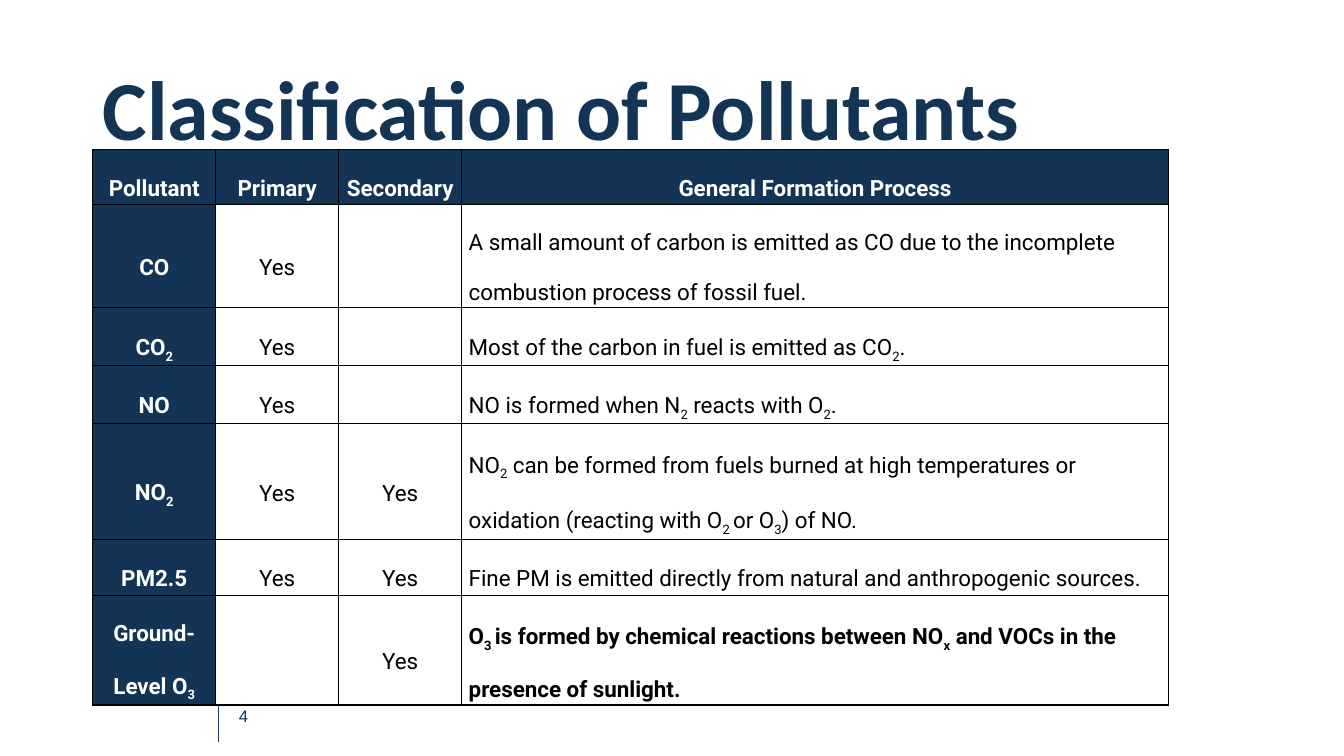
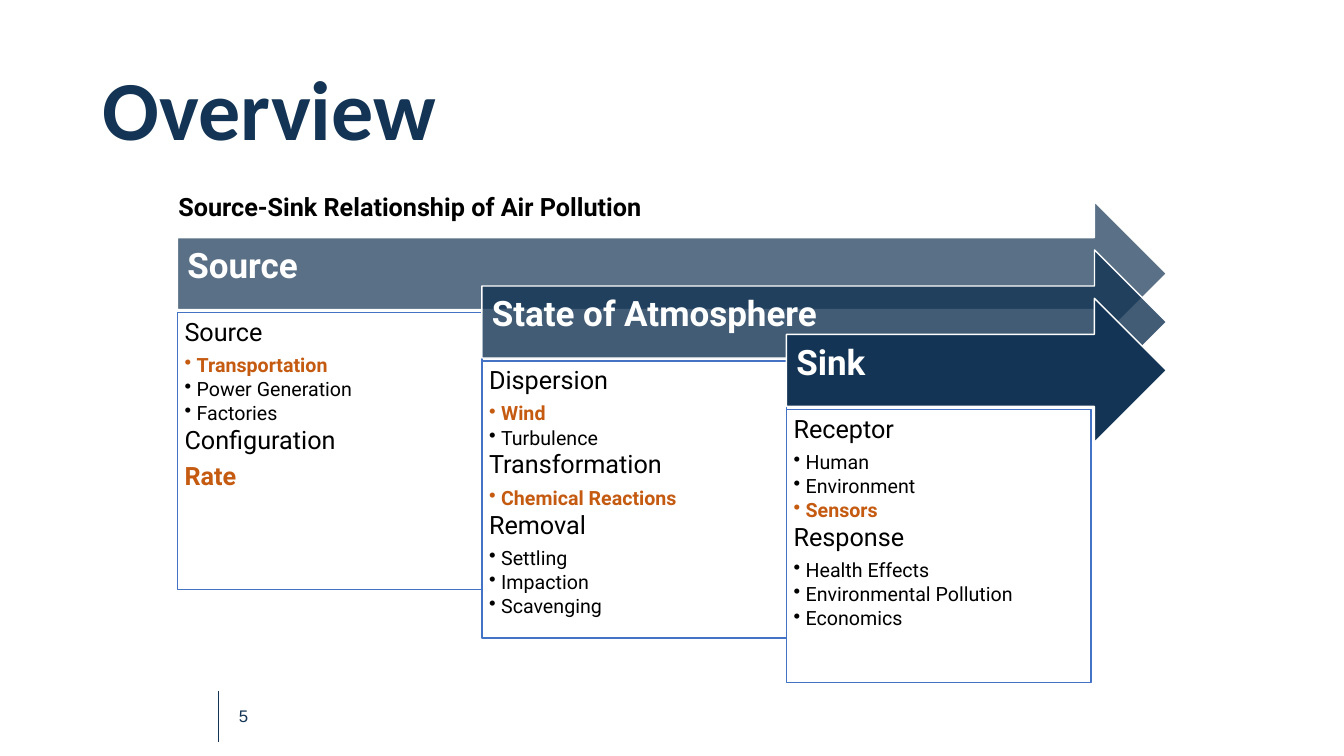
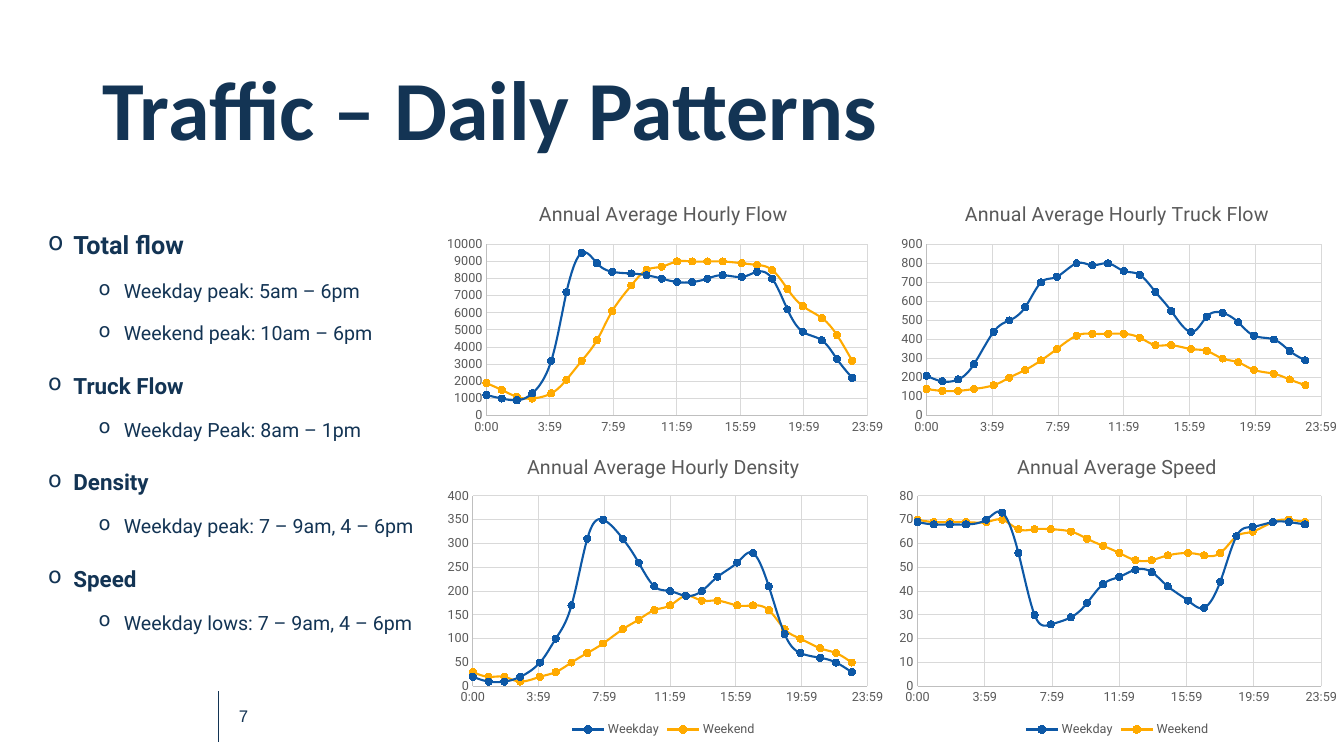
"""Build three slides on air pollutants, their path from source to sink, and daily traffic patterns."""
import pptx
import pptx.chart.data
import pptx.dml.color
import pptx.enum.chart
import pptx.enum.shapes
import pptx.enum.text
import pptx.oxml
import pptx.oxml.ns
import pptx.util
from lxml import etree

Inches = pptx.util.Inches
Pt = pptx.util.Pt
RGBColor = pptx.dml.color.RGBColor
PP_ALIGN = pptx.enum.text.PP_ALIGN
MIDDLE = pptx.enum.text.MSO_ANCHOR.MIDDLE
MSO_SHAPE = pptx.enum.shapes.MSO_SHAPE
XL_TICK_MARK = pptx.enum.chart.XL_TICK_MARK
qn = pptx.oxml.ns.qn

NAVY = RGBColor(0x13, 0x34, 0x54)
WHITE = RGBColor(0xFF, 0xFF, 0xFF)
BLACK = RGBColor(0, 0, 0)
ORANGE = RGBColor(0xC5, 0x5A, 0x11)
BOX_BLUE = RGBColor(0x44, 0x72, 0xC4)
WEEKDAY_BLUE = RGBColor(0x0D, 0x58, 0xA6)
WEEKEND_YELLOW = RGBColor(0xFF, 0xAA, 0x00)
CHART_GREY = RGBColor(0x59, 0x59, 0x59)
AXIS_GREY = RGBColor(0xBF, 0xBF, 0xBF)
GRID_GREY = RGBColor(0xD9, 0xD9, 0xD9)


def write(paragraph, text, size, color, bold=False, font="Roboto"):
    """Fill a paragraph; every second part between bars is a subscript."""
    for index, part in enumerate(text.split("|")):
        if part:
            run = paragraph.add_run()
            run.text = part
            run.font.size = Pt(size)
            run.font.name = font
            run.font.bold = bold
            run.font.color.rgb = color
            if index % 2:
                run.font._element.set("baseline", "-25000")
    etree.SubElement(paragraph._p, qn("a:endParaRPr"), sz=str(size * 100))


def add_bullet(paragraph, character, margin, hanging):
    """Give a paragraph a bullet with a hanging indent."""
    properties = paragraph._p.get_or_add_pPr()
    properties.set("marL", str(Inches(margin)))
    properties.set("indent", str(-Inches(hanging)))
    etree.SubElement(properties, qn("a:buChar")).set("char", character)


presentation = pptx.Presentation()
presentation.slide_width = Inches(13.33)
presentation.slide_height = Inches(7.5)

slides = []
for title, number in [
    ("Classification of Pollutants", "4"),
    ("Overview", "5"),
    ("Traffic – Daily Patterns", "7"),
]:
    slide = presentation.slides.add_slide(presentation.slide_layouts[6])
    slides.append(slide)
    rule = slide.shapes.add_connector(
        pptx.enum.shapes.MSO_CONNECTOR.STRAIGHT,
        Inches(2.17), Inches(6.86), Inches(2.17), Inches(7.36))
    rule.line.color.rgb = NAVY
    rule.line.width = Pt(0.5)
    etree.SubElement(rule._element.spPr, qn("a:effectLst"))
    for text, left, top, width, height, size, font in [
        (number, 2.27, 6.96, 1.56, 0.3, 12, "Arial"),
        (title, 0.92, 0.4, 11.5, 1.45, 60, "Calibri"),
    ]:
        box = slide.shapes.add_textbox(Inches(left), Inches(top), Inches(width), Inches(height))
        box.text_frame.word_wrap = True
        box.text_frame.vertical_anchor = MIDDLE
        paragraph = box.text_frame.paragraphs[0]
        paragraph.line_spacing = 0.9
        write(paragraph, text, size, NAVY, text == title, font)

pollutants_slide, overview_slide, traffic_slide = slides

pollutant_rows = [
    ("Pollutant", "Primary", "Secondary", "General Formation Process"),
    ("CO", "Yes", "", "A small amount of carbon is emitted as CO due to the incomplete "
     "combustion process of fossil fuel."),
    ("CO|2|", "Yes", "", "Most of the carbon in fuel is emitted as CO|2|."),
    ("NO", "Yes", "", "NO is formed when N|2| reacts with O|2|."),
    ("NO|2|", "Yes", "Yes", "NO|2| can be formed from fuels burned at high temperatures or "
     "oxidation (reacting with O|2 |or O|3|) of NO."),
    ("PM2.5", "Yes", "Yes", "Fine PM is emitted directly from natural and anthropogenic sources."),
    ("Ground-Level O|3|", "", "Yes", "O|3 |is formed by chemical reactions between NO|x| and "
     "VOCs in the presence of sunlight."),
]
row_heights = (0.55, 1.02, 0.57, 0.57, 1.15, 0.55, 1.09)
last_row = len(pollutant_rows) - 1
table = pollutants_slide.shapes.add_table(
    len(pollutant_rows), 4, Inches(0.92), Inches(1.48),
    Inches(10.67), Inches(sum(row_heights))).table
table.horz_banding = False
for column, width in zip(table.columns, (1.22, 1.22, 1.22, 7.01)):
    column.width = Inches(width)
for row, height in zip(table.rows, row_heights):
    row.height = Inches(height)
for row_index, texts in enumerate(pollutant_rows):
    for column_index, text in enumerate(texts):
        cell = table.cell(row_index, column_index)
        heading = row_index == 0 or column_index == 0
        process = column_index == 3
        for side in ("lnL", "lnR", "lnT", "lnB"):
            border = etree.SubElement(cell._tc.get_or_add_tcPr(), qn("a:" + side), w=str(Pt(1)))
            border_fill = etree.SubElement(border, qn("a:solidFill"))
            etree.SubElement(border_fill, qn("a:srgbClr"), val=str(BLACK))
        cell.fill.solid()
        cell.fill.fore_color.rgb = NAVY if heading else WHITE
        cell.vertical_anchor = MIDDLE
        cell.margin_left = cell.margin_right = Inches(0.07)
        cell.margin_top = cell.margin_bottom = 0
        paragraph = cell.text_frame.paragraphs[0]
        paragraph.line_spacing = 1.9
        paragraph.alignment = PP_ALIGN.LEFT if process and not heading else PP_ALIGN.CENTER
        write(paragraph, text, 16, WHITE if heading else BLACK,
              heading or (process and row_index == last_row))

stages = [
    ("Source", 70, 2.75, [
        ("Source", 0, False), ("Transportation", 1, True), ("Power Generation", 1, False),
        ("Factories", 1, False), ("Configuration", 0, False), ("Rate", 0, True)]),
    ("State of Atmosphere", 80, 2.75, [
        ("Dispersion", 0, False), ("Wind", 1, True), ("Turbulence", 1, False),
        ("Transformation", 0, False), ("Chemical Reactions", 1, True), ("Removal", 0, False),
        ("Settling", 1, False), ("Impaction", 1, False), ("Scavenging", 1, False)]),
    ("Sink", 100, 2.71, [
        ("Receptor", 0, False), ("Human", 1, False), ("Environment", 1, False),
        ("Sensors", 1, True), ("Response", 0, False), ("Health Effects", 1, False),
        ("Environmental Pollution", 1, False), ("Economics", 1, False)]),
]
for index, (stage, opacity, box_height, items) in enumerate(stages):
    left = 1.76 + 3.02 * index
    top = 2 + 0.48 * index
    arrow = overview_slide.shapes.add_shape(
        MSO_SHAPE.RIGHT_ARROW, Inches(left), Inches(top), Inches(11.57 - left), Inches(1.43))
    box = overview_slide.shapes.add_shape(
        MSO_SHAPE.RECTANGLE, Inches(left), Inches(top + 1.1), Inches(3.02), Inches(box_height))
    for shape, fill, line in [(arrow, NAVY, WHITE), (box, WHITE, BOX_BLUE)]:
        shape.shadow.inherit = False
        shape.fill.solid()
        shape.fill.fore_color.rgb = fill
        shape.line.color.rgb = line
        shape.line.width = Pt(1)
    arrow_color = arrow._element.spPr.find(qn("a:solidFill")).find(qn("a:srgbClr"))
    etree.SubElement(arrow_color, qn("a:alpha"), val=str(opacity * 1000))

    frame = arrow.text_frame
    frame.vertical_anchor = MIDDLE
    frame.margin_left = frame.margin_top = Inches(0.1)
    frame.margin_right = Inches(0.28)
    frame.margin_bottom = Inches(0.23)
    paragraph = frame.paragraphs[0]
    paragraph.alignment = PP_ALIGN.LEFT
    paragraph.line_spacing = 0.9
    write(paragraph, stage, 25, WHITE, True)

    frame = box.text_frame
    frame.vertical_anchor = pptx.enum.text.MSO_ANCHOR.TOP
    frame.margin_left = frame.margin_right = Inches(0.07)
    frame.margin_top = frame.margin_bottom = Inches(0.07)
    for item_index, (text, level, highlighted) in enumerate(items):
        paragraph = frame.add_paragraph() if item_index else frame.paragraphs[0]
        paragraph.alignment = PP_ALIGN.LEFT
        paragraph.level = level
        paragraph.line_spacing = 0.9
        paragraph.space_after = Pt(2.1 if level else 6.3)
        if level:
            add_bullet(paragraph, "•", 0.12, 0.12)
        write(paragraph, text, 14 if level else 18, ORANGE if highlighted else BLACK, highlighted)

caption = overview_slide.shapes.add_textbox(Inches(1.67), Inches(1.85), Inches(5.98), Inches(0.4))
caption.text_frame.word_wrap = True
write(caption.text_frame.paragraphs[0], "Source-Sink Relationship of Air Pollution", 18, BLACK, True)

findings = traffic_slide.shapes.add_textbox(Inches(0.38), Inches(2.08), Inches(3.95), Inches(4.53))
findings.text_frame.word_wrap = True
for index, (text, level, size) in enumerate([
    ("Total flow", 0, 18),
    ("Weekday peak: 5am – 6pm", 1, 14),
    ("Weekend peak: 10am – 6pm", 1, 14),
    ("Truck Flow", 0, 16),
    ("Weekday Peak: 8am – 1pm", 1, 14),
    ("Density", 0, 16),
    ("Weekday peak: 7 – 9am, 4 – 6pm", 1, 14),
    ("Speed", 0, 16),
    ("Weekday lows: 7 – 9am, 4 – 6pm", 1, 14),
]):
    frame = findings.text_frame
    paragraph = frame.add_paragraph() if index else frame.paragraphs[0]
    paragraph.level = level
    paragraph.line_spacing = 1.5
    paragraph.space_before = Pt(5 if level else 10)
    add_bullet(paragraph, "o", 0.75 if level else 0.25, 0.25)
    write(paragraph, text, size, NAVY, level == 0)

traffic_charts = [
    ("Annual Average Hourly Flow", 10000, 1000, (0.11, 0.23, 0.84, 0.68),
     (1200, 1000, 900, 1300, 3200, 7200, 9500, 8900, 8400, 8300, 8200, 8000,
      7800, 7800, 8000, 8200, 8100, 8400, 8000, 6200, 4900, 4400, 3300, 2200),
     (1900, 1500, 1100, 1000, 1300, 2100, 3200, 4400, 6100, 7600, 8500, 8700,
      9000, 9000, 9000, 9000, 8900, 8800, 8500, 7400, 6400, 5700, 4700, 3200)),
    ("Annual Average Hourly Truck Flow", 900, 100, (0.08, 0.23, 0.87, 0.68),
     (210, 180, 190, 270, 440, 500, 570, 700, 730, 800, 790, 800,
      760, 740, 650, 550, 440, 520, 540, 490, 420, 400, 340, 290),
     (140, 130, 130, 140, 160, 200, 240, 290, 350, 420, 430, 430,
      430, 410, 370, 370, 350, 340, 300, 280, 240, 220, 190, 160)),
    ("Annual Average Hourly Density", 400, 50, (0.08, 0.19, 0.87, 0.63),
     (20, 10, 10, 20, 50, 100, 170, 310, 350, 310, 260, 210,
      200, 190, 200, 230, 260, 280, 210, 110, 70, 60, 50, 30),
     (30, 20, 20, 10, 20, 30, 50, 70, 90, 120, 140, 160,
      170, 190, 180, 180, 170, 170, 160, 120, 100, 80, 70, 50)),
    ("Annual Average Speed", 80, 10, (0.06, 0.19, 0.89, 0.63),
     (69, 68, 68, 68, 70, 73, 56, 30, 26, 29, 35, 43,
      46, 49, 48, 42, 36, 33, 44, 63, 67, 69, 69, 68),
     (70, 69, 69, 69, 69, 70, 66, 66, 66, 65, 62, 59,
      56, 53, 53, 55, 56, 55, 56, 63, 65, 69, 70, 69)),
]
for index, (title, maximum, step, plot_area, weekday, weekend) in enumerate(traffic_charts):
    row, column = divmod(index, 2)
    chart_data = pptx.chart.data.XyChartData()
    for name, values in [("Weekday", weekday), ("Weekend", weekend)]:
        series_data = chart_data.add_series(name)
        for hour, value in enumerate(values):
            series_data.add_data_point(round(hour / 24, 2), value)
    chart = traffic_slide.shapes.add_chart(
        pptx.enum.chart.XL_CHART_TYPE.XY_SCATTER_SMOOTH,
        Inches(4.33 + 4.5 * column), Inches(1.85 + 2.5 * row),
        Inches(4.5), Inches(2.5 + 0.5 * row), chart_data).chart
    chart.font.name = "Roboto"
    chart.font.size = Pt(9)
    chart.font.color.rgb = CHART_GREY
    chart.has_title = True
    write(chart.chart_title.text_frame.paragraphs[0], title, 14, CHART_GREY)
    chart.has_legend = row == 1
    if chart.has_legend:
        chart.legend.position = pptx.enum.chart.XL_LEGEND_POSITION.BOTTOM
        chart.legend.include_in_layout = False

    for axis, axis_maximum, axis_step, number_format in [
        (chart.category_axis, 1, 0.16666, "h:mm"),
        (chart.value_axis, maximum, step, "General"),
    ]:
        axis.minimum_scale = 0
        axis.maximum_scale = axis_maximum
        axis.major_unit = axis_step
        axis.major_tick_mark = axis.minor_tick_mark = XL_TICK_MARK.NONE
        axis.tick_labels.number_format = number_format
        axis.tick_labels.number_format_is_linked = False
        axis.has_major_gridlines = True
        for line, color in [(axis.format.line, AXIS_GREY),
                            (axis.major_gridlines.format.line, GRID_GREY)]:
            line.color.rgb = color
            line.width = Pt(0.75)

    plot = chart.plots[0]
    plot.vary_by_categories = False
    for series, color in zip(plot.series, (WEEKDAY_BLUE, WEEKEND_YELLOW)):
        series.format.line.color.rgb = color
        series.format.line.width = Pt(1.5)
        series.marker.style = pptx.enum.chart.XL_MARKER_STYLE.CIRCLE
        series.marker.size = 5
        series.marker.format.fill.solid()
        series.marker.format.fill.fore_color.rgb = color
        series.marker.format.line.color.rgb = color
        series._element.find(qn("c:smooth")).set("val", "1")

    plot_element = chart._chartSpace.find(qn("c:chart")).find(qn("c:plotArea"))
    for layout in plot_element.findall(qn("c:layout")):
        plot_element.remove(layout)
    layout = etree.Element(qn("c:layout"))
    plot_element.insert(0, layout)
    manual_layout = etree.SubElement(layout, qn("c:manualLayout"))
    for tag, value in zip(
            ("layoutTarget", "xMode", "yMode", "x", "y", "w", "h"),
            ("inner", "edge", "edge") + plot_area):
        etree.SubElement(manual_layout, qn("c:" + tag), val=str(value))

presentation.save("out.pptx")
